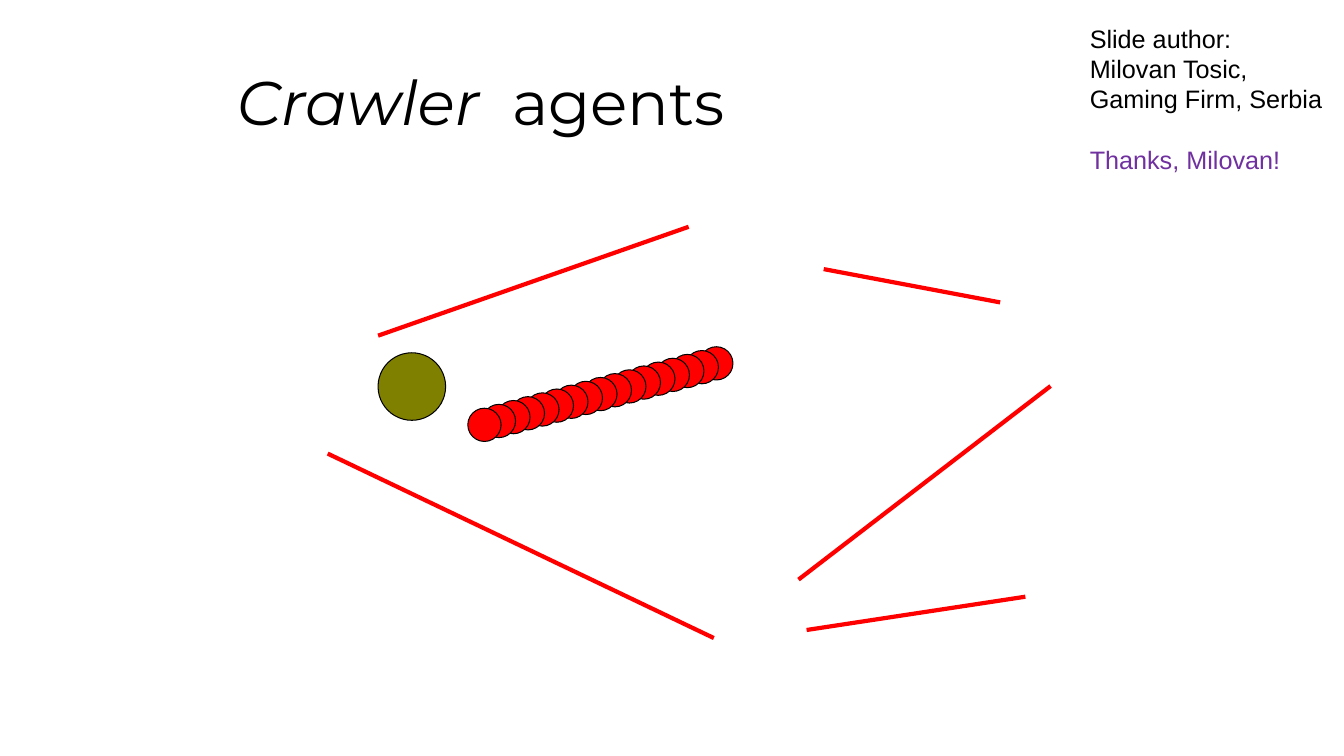
from lxml.etree import SubElement
from pptx import Presentation
from pptx.dml.color import RGBColor
from pptx.enum.shapes import MSO_CONNECTOR, MSO_SHAPE
from pptx.enum.text import MSO_ANCHOR, MSO_AUTO_SIZE, PP_ALIGN
from pptx.oxml.ns import qn
from pptx.util import Inches, Pt

HUES = {"black": "000000", "red": "FF0000", "olive": "808000", "purple": "7030A0"}


def style(font, hue, **form):
    for key, value in form.items():
        setattr(font, key, value)
    font.color.rgb = RGBColor.from_string(HUES[hue])


def add_disc(left, top, size, hue):
    disc = slide.shapes.add_shape(
        MSO_SHAPE.OVAL, Inches(left), Inches(top), Inches(size), Inches(size))
    disc.shadow.inherit = False
    disc.fill.solid()
    disc.fill.fore_color.rgb = RGBColor.from_string(HUES[hue])
    disc.line.color.rgb = RGBColor.from_string(HUES["black"])
    disc.line.width = Pt(0.75)


deck = Presentation()
deck.slide_width, deck.slide_height = Inches(13.33), Inches(7.5)
slide = deck.slides.add_slide(deck.slide_layouts[5])

title = slide.shapes.title
place = {"left": 2.25, "top": 0.58, "width": 9.25, "height": 0.83}
for key, value in place.items():
    setattr(title, key, Inches(value))
frame = title.text_frame
form = {"word_wrap": True, "auto_size": MSO_AUTO_SIZE.NONE,
        "vertical_anchor": MSO_ANCHOR.TOP}
for key, value in form.items():
    setattr(frame, key, value)
head = frame.paragraphs[0]
head.alignment = PP_ALIGN.LEFT
for text, slant in (("Crawler", True), ("  agents", False)):
    run = head.add_run()
    run.text = text
    style(run.font, "black", name="Montserrat", size=Pt(44), italic=slant)

add_disc(3.75, 3.5, 0.67, "olive")

walls = [
    (3.25, 4.5, 7.08, 6.33),
    (8, 6.25, 10.17, 5.92),
    (7.92, 5.75, 10.42, 3.83),
    (8.17, 2.67, 9.92, 3),
    (3.75, 3.33, 6.83, 2.25),
]
for ends in walls:
    wall = slide.shapes.add_connector(
        MSO_CONNECTOR.STRAIGHT, *[Inches(end) for end in ends])
    wall.line.color.rgb = RGBColor.from_string(HUES["red"])
    wall.line.width = Pt(3)
    SubElement(wall._element.spPr, qn("a:effectLst"))

COUNT = 17
for step in range(COUNT):
    part = step / (COUNT - 1)
    add_disc(6.94 - 2.3 * part, 3.44 + 0.61 * part, 0.33, "red")

note = slide.shapes.add_textbox(Inches(10.71), Inches(0.18), Inches(2.59), Inches(1.62))
frame = note.text_frame
frame.word_wrap = True
lines = [
    ("Slide author:", "black", 0),
    ("Milovan Tosic,", "black", 0),
    ("Gaming Firm, Serbia", "black", 0),
    ("Thanks, Milovan!", "purple", 21.5),
]
for spot, (text, hue, gap) in enumerate(lines):
    para = frame.add_paragraph() if spot else frame.paragraphs[0]
    if gap:
        para.space_before = Pt(gap)
    run = para.add_run()
    run.text = text
    style(run.font, hue, name="Arial", size=Pt(18))

deck.save("out.pptx")
